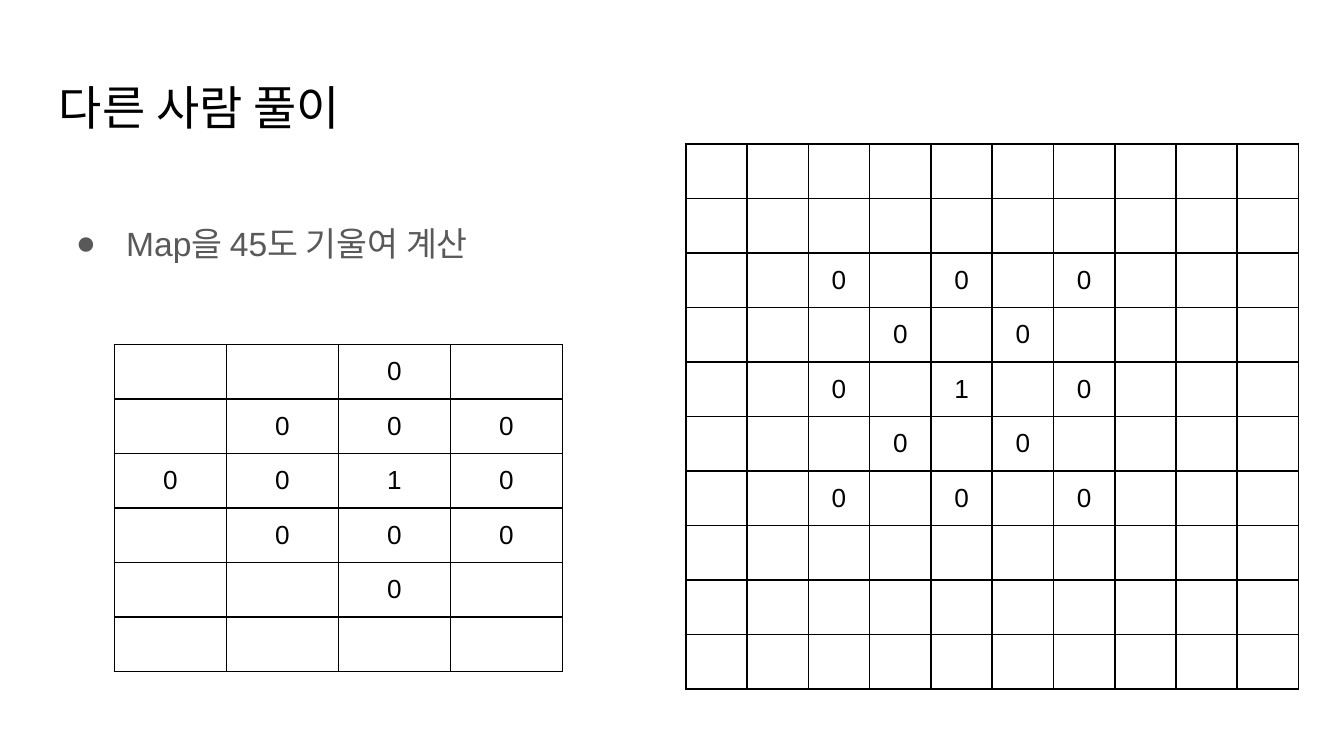
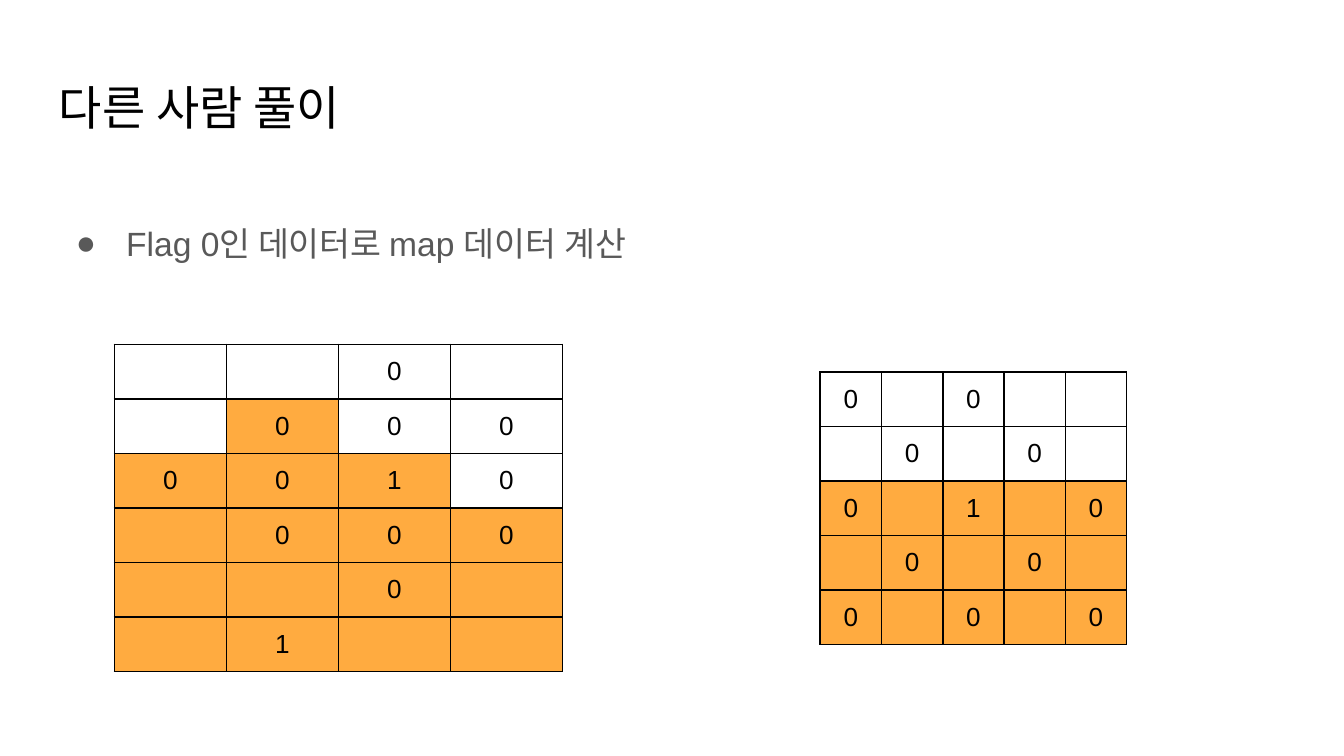
from lxml.etree import SubElement
from pptx import Presentation
from pptx.dml.color import RGBColor
from pptx.enum.text import MSO_ANCHOR, PP_ALIGN
from pptx.oxml import parse_xml
from pptx.oxml.ns import nsdecls, qn
from pptx.util import Pt

WIDTH, HEIGHT = 720, 405
FONT = "Arial"
BLACK, GRAY, WHITE, ORANGE = "000000", "595959", "FFFFFF", "FFAB40"
LEFT, SPAN, INSET = 24.55, 670.9, 7.2
ROW = 29.2
WIDE, SLIM = 60, 32.83  # column widths of the map and of the tilted map

TITLE = "다른 사람 풀이"

# Grids: a dot is an empty cell; in shade, # marks an orange cell.
MAP = ["..0.", ".000", "0010", ".000", "..0.", "...."]
TILTED = [
    "..........",
    "..........",
    "..0.0.0...",
    "...0.0....",
    "..0.1.0...",
    "...0.0....",
    "..0.0.0...",
    "..........",
    "..........",
    "..........",
]
CROPPED = ["0.0..", ".0.0.", "0.1.0", ".0.0.", "0.0.0"]

SLIDES = [
    {
        "point": "Map을 45도 기울여 계산",
        "grids": [
            {"left": 61.3, "top": 184.5, "col": WIDE, "rows": MAP},
            {"left": 367.4, "top": 77.2, "col": SLIM, "rows": TILTED},
        ],
    },
    {
        "point": "Flag 0인 데이터로 map 데이터 계산",
        "grids": [
            {"left": 439.4, "top": 199.2, "col": SLIM, "rows": CROPPED,
             "shade": [".....", ".....", "#####", "#####", "#####"]},
            {"left": 61.3, "top": 184.5, "col": WIDE,
             "rows": MAP[:-1] + [".1.."],
             "shade": ["....", ".#..", "###.", "####", "####", "####"]},
        ],
    },
]


def rgb(code):
    return RGBColor.from_string(code)


def write(frame, text, size, color=BLACK, align=PP_ALIGN.LEFT, space=None):
    para = frame.paragraphs[0]
    para.alignment = align
    para.line_spacing = space
    run = para.add_run()
    run.text = text
    run.font.name = FONT
    run.font.size = Pt(size)
    run.font.color.rgb = rgb(color)


def add_box(slide, top, height):
    box = slide.shapes.add_textbox(Pt(LEFT), Pt(top), Pt(SPAN), Pt(height))
    frame = box.text_frame
    frame.word_wrap = True
    frame.margin_left = frame.margin_right = Pt(INSET)
    frame.margin_top = frame.margin_bottom = Pt(INSET)
    return box


def add_point(slide, text):
    """Add the bulleted line in a two-column body."""
    box = add_box(slide, 90.75, 269.1)
    next(box.element.iter(qn("a:bodyPr"))).set("numCol", "2")
    props = next(box.element.iter(qn("a:p"))).get_or_add_pPr()
    props.set("marL", str(Pt(36)))
    props.set("indent", str(Pt(-27)))
    tint = SubElement(props, qn("a:buClr"))
    SubElement(tint, qn("a:srgbClr")).set("val", GRAY)
    SubElement(props, qn("a:buFont")).set("typeface", FONT)
    SubElement(props, qn("a:buChar")).set("char", "●")
    write(box.text_frame, text, 18, color=GRAY, space=2)


def add_borders(frame):
    for props in frame.element.iter(qn("a:tcPr")):
        for spot, side in enumerate("LRTB"):
            props.insert(spot, parse_xml(
                f'<a:ln{side} {nsdecls("a")} w="{Pt(1)}"><a:solidFill>'
                f'<a:srgbClr val="{BLACK}"/></a:solidFill></a:ln{side}>'))


def add_grid(slide, left, top, col, rows, shade=None):
    count, wide = len(rows), len(rows[0])
    frame = slide.shapes.add_table(
        count, wide, Pt(left), Pt(top), Pt(col * wide), Pt(ROW * count))
    table = frame.table
    table.first_row = table.horz_banding = False
    for column in table.columns:
        column.width = Pt(col)
    for r, row in enumerate(rows):
        table.rows[r].height = Pt(ROW)
        for c, mark in enumerate(row):
            cell = table.cell(r, c)
            cell.vertical_anchor = MSO_ANCHOR.MIDDLE
            cell.fill.solid()
            lit = shade and shade[r][c] == "#"
            cell.fill.fore_color.rgb = rgb(ORANGE if lit else WHITE)
            if mark != ".":
                write(cell.text_frame, mark, 14, align=PP_ALIGN.CENTER)
    add_borders(frame)


def main():
    deck = Presentation()
    deck.slide_width, deck.slide_height = Pt(WIDTH), Pt(HEIGHT)
    for page in SLIDES:
        slide = deck.slides.add_slide(deck.slide_layouts[6])
        slide.background.fill.solid()
        slide.background.fill.fore_color.rgb = rgb(WHITE)
        write(add_box(slide, 35.05, 45.1).text_frame, TITLE, 25.2)
        add_point(slide, page["point"])
        for grid in page["grids"]:
            add_grid(slide, **grid)
    deck.save("out.pptx")


if __name__ == "__main__":
    main()
